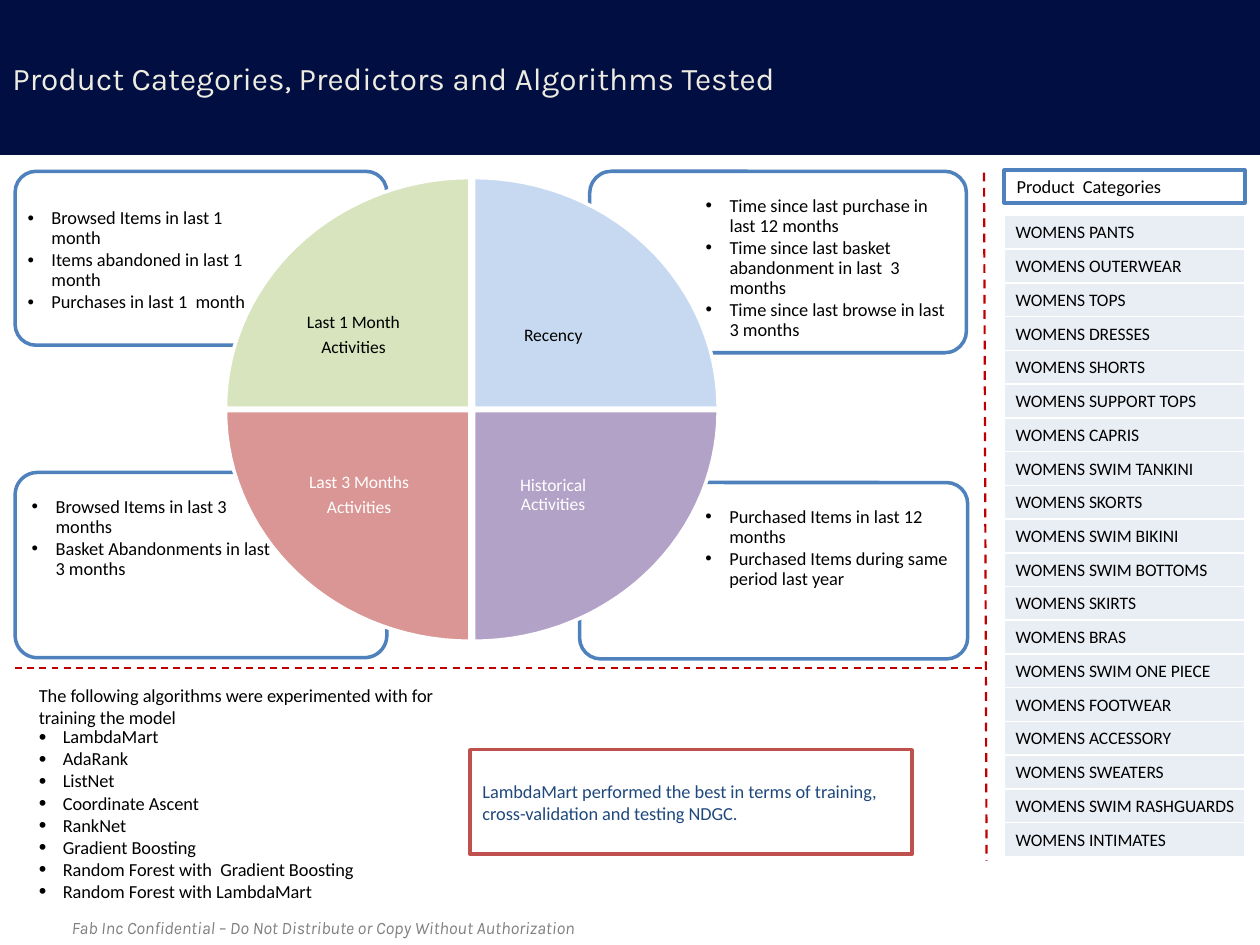
import math
from lxml import etree
from pptx import Presentation
from pptx.dml.color import RGBColor
from pptx.enum.dml import MSO_LINE
from pptx.enum.shapes import MSO_CONNECTOR, MSO_SHAPE
from pptx.enum.text import MSO_ANCHOR, PP_ALIGN
from pptx.oxml.ns import qn
from pptx.util import Inches, Pt

RECT, ROUNDED = MSO_SHAPE.RECTANGLE, MSO_SHAPE.ROUNDED_RECTANGLE
STRAIGHT, DASH = MSO_CONNECTOR.STRAIGHT, MSO_LINE.DASH
TOP, MIDDLE = MSO_ANCHOR.TOP, MSO_ANCHOR.MIDDLE
LEFT, CENTER = PP_ALIGN.LEFT, PP_ALIGN.CENTER
C = {name: RGBColor.from_string(value) for name, value in {
    "navy": "000E41", "cream": "EEECE1", "gray": "808080", "black": "000000",
    "white": "FFFFFF", "blue": "4F81BD", "dark_blue": "1F497D", "red": "C0504D",
    "dash": "C00000", "row": "E9EDF4", "green": "D7E4BD", "sky": "C6D9F1",
    "purple": "B3A2C7", "rose": "D99694"}.items()}

prs = Presentation()
prs.slide_width, prs.slide_height = Inches(10), Inches(7.5)
s = prs.slides.add_slide(prs.slide_layouts[6])
UNIT = prs.slide_width / 100  # square grid: 100 columns by 75 rows


def grid(*cells):
    """Turn grid columns or rows into slide lengths."""
    return [round(c * UNIT) for c in cells]


def write(tf, lines, size=10.5, color="black", font="Calibri", anchor=MIDDLE, align=LEFT,
          inset=(1, 0.5, 1, 0.5), spacing=1, after=0, bullets_from=None, bullet_size=100):
    """Fill a text frame; lines from index bullets_from onwards get bullets."""
    tf.word_wrap, tf.vertical_anchor = True, anchor
    tf.margin_left, tf.margin_top, tf.margin_right, tf.margin_bottom = grid(*inset)
    tf.text = "\n".join(lines)
    for i, p in enumerate(tf.paragraphs):
        p.alignment, p.line_spacing, p.space_after = align, spacing, Pt(after)
        for r in p.runs:
            r.font.name, r.font.size, r.font.color.rgb = font, Pt(size), C[color]
        if bullets_from is not None and i >= bullets_from:
            p.line_spacing, p.space_after = 0.9, Pt(1.3)
            pPr = p._p.get_or_add_pPr()
            indent = grid(1.9)[0]
            pPr.set("marL", str(indent))
            pPr.set("indent", str(-indent))
            etree.SubElement(pPr, qn("a:buSzPct")).set("val", str(bullet_size * 1000))
            etree.SubElement(pPr, qn("a:buFont")).set("typeface", "Arial")
            etree.SubElement(pPr, qn("a:buChar")).set("char", "•")


# Title band and footer
sp = s.shapes.add_shape(RECT, *grid(0, 0, 100, 12.3))
sp.shadow.inherit = False
sp.fill.solid()
sp.fill.fore_color.rgb = C["navy"]
sp.line.fill.background()
sp = s.shapes.add_textbox(*grid(0, 0.5, 100, 11.3))
write(sp.text_frame, ["Product Categories, Predictors and Algorithms Tested"], 18, "cream", "Karla")
sp = s.shapes.add_textbox(*grid(4.7, 72.3, 93.2, 2.7))
write(sp.text_frame, ["Fab Inc Confidential – Do Not Distribute or Copy Without Authorization"],
      10, "gray", "Karla", TOP)
sp.text_frame.paragraphs[0].runs[0].font.italic = True

# Product category table
categories = ["PANTS", "OUTERWEAR", "TOPS", "DRESSES", "SHORTS", "SUPPORT TOPS", "CAPRIS",
              "SWIM TANKINI", "SKORTS", "SWIM BIKINI", "SWIM BOTTOMS", "SKIRTS", "BRAS",
              "SWIM ONE PIECE", "FOOTWEAR", "ACCESSORY", "SWEATERS", "SWIM RASHGUARDS",
              "INTIMATES"]
table = s.shapes.add_table(len(categories), 1, *grid(79.7, 17.1, 19.1, 50.9)).table
table.first_row = table.horz_banding = False
for i, category in enumerate(categories):
    table.rows[i].height = grid(50.9 / len(categories))[0]
    cell = table.cell(i, 0)
    write(cell.text_frame, [f"WOMENS {category}"], 10)
    cell.vertical_anchor = MIDDLE
    cell.margin_left, cell.margin_top, cell.margin_right, cell.margin_bottom = grid(0.9, 0.1, 0.1, 0)
    cell.fill.solid()
    cell.fill.fore_color.rgb = C["row"]
    tcPr = cell._tc.get_or_add_tcPr()
    for k, side in enumerate(("lnL", "lnR", "lnT", "lnB")):
        ln = etree.Element(qn(f"a:{side}"), w=str(Pt(1)))
        fill = etree.SubElement(ln, qn("a:solidFill"))
        etree.SubElement(fill, qn("a:srgbClr")).set("val", str(C["white"]))
        tcPr.insert(k, ln)

# Predictor cards: position, text insets, bullets
cards = [
    ((46, 38.3, 30.8, 14), (9.5, 1.5, 0, 0.8),
     ["Purchased Items in last 12 months", "Purchased Items during same period last year"]),
    ((46.8, 13.6, 29.9, 14.4), (8.7, 1.5, 0.8, 0.8),
     ["Time since last purchase in last 12 months",
      "Time since last basket abandonment in last  3 months",
      "Time since last browse in last 3 months"]),
    ((1.2, 37.5, 29.5, 14.7), (0.8, 1.5, 8.7, 0.8),
     ["Browsed Items in last 3 months", "Basket Abandonments in last 3 months"]),
    ((1.2, 13.6, 29.5, 13.8), (0.5, 2.5, 8.5, 0.8),
     ["Browsed Items in last 1 month", "Items abandoned in last 1 month",
      "Purchases in last 1  month"])]
for box, inset, lines in cards:
    sp = s.shapes.add_shape(ROUNDED, *grid(*box))
    sp.adjustments[0] = 0.12
    sp.shadow.inherit = False
    sp.fill.solid()
    sp.fill.fore_color.rgb = C["white"]
    sp.line.color.rgb, sp.line.width = C["blue"], Pt(2)
    write(sp.text_frame, lines, anchor=TOP, inset=inset, bullets_from=0)

# Quarter circles: corner, horizontal and vertical direction, fill, text
RX, RY, STEPS = 19.4, 18.3, 30
quarters = [
    (37.3, 32.4, -1, -1, "green", ["Last 1 Month", "Activities"], "black", CENTER, (2, 7.9, 1.1, 1.1)),
    (37.6, 32.4, 1, -1, "sky", ["Recency"], "black", LEFT, (4, 9, 9, 2.2)),
    (37.6, 32.6, 1, 1, "purple", ["Historical Activities"], "white", CENTER, (2.2, 4.2, 9, 9)),
    (37.3, 32.6, -1, 1, "rose", ["Last 3 Months", "Activities"], "white", CENTER, (4, 4.2, 2.2, 9))]
for x, y, dx, dy, fill, lines, color, align, inset in quarters:
    angles = [math.pi / 2 * k / STEPS for k in range(STEPS + 1)]
    arc = [grid(x + dx * RX * math.cos(a), y + dy * RY * math.sin(a)) for a in angles]
    builder = s.shapes.build_freeform(*grid(x, y))
    builder.add_line_segments(arc, close=True)
    sp = builder.convert_to_shape()
    sp.shadow.inherit = False
    sp.fill.solid()
    sp.fill.fore_color.rgb = C[fill]
    sp.line.color.rgb, sp.line.width = C["white"], Pt(2)
    write(sp.text_frame, lines, 10, color, align=align, inset=inset, spacing=0.9, after=3.5)

# Algorithms
sp = s.shapes.add_textbox(*grid(2.1, 52.2, 34.8, 21.5))
write(sp.text_frame,
      ["The following algorithms were experimented with for training the model",
       "LambdaMart", "AdaRank", "ListNet", "Coordinate Ascent", "RankNet", "Gradient Boosting",
       "Random Forest with  Gradient Boosting", "Random Forest with LambdaMart"],
      inset=(1, 0, 1, 0), bullets_from=1, bullet_size=117)

# Dashed dividers
for ends, width in [((78.1, 13.7, 78.3, 68.3), 1.25), ((1.2, 53, 78.1, 53), 1)]:
    line = s.shapes.add_connector(STRAIGHT, *grid(*ends))
    line.line.color.rgb, line.line.width = C["dash"], Pt(width)
    line.line.dash_style = DASH
    etree.SubElement(line._element.spPr, qn("a:effectLst"))

# Framed labels
for box, edge, text, color in [
        ((79.7, 13.5, 19.1, 2.6), "blue", "Product  Categories", "black"),
        ((37.3, 59.5, 35.1, 8.3), "red", "LambdaMart performed the best in terms of training, "
         "cross-validation and testing NDGC.", "dark_blue")]:
    sp = s.shapes.add_shape(RECT, *grid(*box))
    sp.shadow.inherit = False
    sp.fill.solid()
    sp.fill.fore_color.rgb = C["white"]
    sp.line.color.rgb, sp.line.width = C[edge], Pt(2)
    write(sp.text_frame, [text], color=color)

prs.save("out.pptx")
